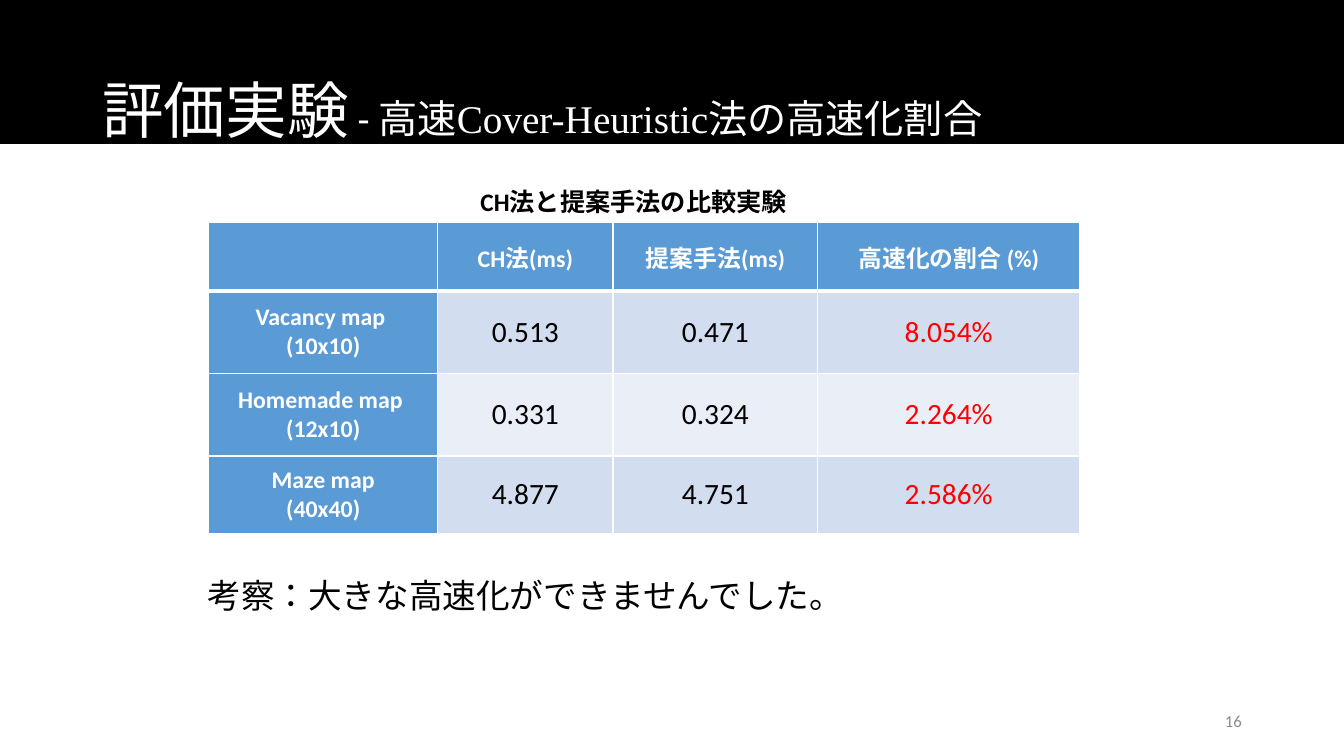
from lxml import etree
from pptx import Presentation, util as u
from pptx.dml.color import RGBColor
from pptx.enum import lang, shapes, text
from pptx.oxml import ns

COLORS = {"black": "000000", "white": "FFFFFF", "blue": "5B9BD5", "band": "D2DEEF",
          "light": "EAEFF7", "red": "FF0000", "grey": "8C8C8C"}
CJK = "Noto Sans CJK JP"

HEADER = ["", "CH法(ms)", "提案手法(ms)", "高速化の割合 (%)"]
RESULTS = [
    ["Vacancy map \n(10x10)", "0.513", "0.471", "8.054%"],
    ["Homemade map \n(12x10)", "0.331", "0.324", "2.264%"],
    ["Maze map\n(40x40)", "4.877", "4.751", "2.586%"],
]
COL_WIDTHS = [5.77, 4.42, 5.16, 6.6]
ROW_HEIGHTS = [1.73, 2.08, 2.08, 1.96]

STYLES = {
    "title": {"size": 44, "name": "Calibri", "color": "white"},
    "dash": {"size": 28, "name": "Calibri", "color": "white"},
    "subtitle": {"size": 28, "name": "Times New Roman", "color": "white"},
    "caption": {"size": 18, "name": "Calibri", "color": "black", "bold": True, "ea": CJK},
    "remark": {"size": 24, "name": "Times New Roman", "color": "black"},
    "number": {"size": 12, "name": "Calibri", "color": "grey"},
    "head": {"size": 17, "name": "Calibri", "color": "white", "bold": True},
    "value": {"size": 21, "name": "Calibri", "color": "black", "bold": False},
    "gain": {"size": 21, "name": "Calibri", "color": "red", "bold": False},
}
LEFT, CENTER, RIGHT = (text.PP_ALIGN.LEFT, text.PP_ALIGN.CENTER, text.PP_ALIGN.RIGHT)
TOP, MIDDLE = text.MSO_ANCHOR.TOP, text.MSO_ANCHOR.MIDDLE

TEXTS = [
    {"box": (2.33, 1.01, 29.21, 3.68), "anchor": MIDDLE, "align": LEFT, "wrap": True,
     "spacing": 0.9, "runs": [("評価実験", "title"), (" - ", "dash"),
                              ("高速Cover-Heuristic法の高速化割合", "subtitle")]},
    {"box": (11.86, 4.57, 8.71, 1.02), "anchor": TOP, "align": LEFT, "wrap": True,
     "runs": [("CH法と提案手法の比較実験", "caption")]},
    {"box": (4.98, 14.35, 16.76, 1.27), "anchor": TOP, "align": LEFT, "wrap": False,
     "runs": [("考察：大きな高速化ができませんでした。", "remark")]},
    {"box": (23.93, 17.65, 7.62, 1.02), "anchor": MIDDLE, "align": RIGHT, "wrap": True,
     "runs": [("16", "number")]},
]


def rgb(name):
    return RGBColor.from_string(COLORS[name])


def add_run(p, words, style):
    r = p.add_run()
    r.text = words
    r.font.language_id = lang.MSO_LANGUAGE_ID.JAPANESE
    for key, value in STYLES[style].items():
        if key == "color":
            r.font.color.rgb = rgb(value)
        elif key == "ea":
            etree.SubElement(r.font._element, ns.qn("a:ea"), typeface=value)
        else:
            setattr(r.font, key, u.Pt(value) if key == "size" else value)


def add_text(s, item):
    tf = s.shapes.add_textbox(*map(u.Cm, item["box"])).text_frame
    tf.word_wrap = item["wrap"]
    tf.vertical_anchor = item["anchor"]
    p = tf.paragraphs[0]
    p.alignment = item["align"]
    p.line_spacing = item.get("spacing")
    for words, style in item["runs"]:
        add_run(p, words, style)


def set_borders(cell, widths):
    tc_pr = cell._tc.get_or_add_tcPr()
    for i, (side, width) in enumerate(zip("LRTB", widths)):
        ln = etree.Element(ns.qn(f"a:ln{side}"), w=str(u.Pt(width)))
        fill = etree.SubElement(ln, ns.qn("a:solidFill"))
        etree.SubElement(fill, ns.qn("a:srgbClr"), val=COLORS["white"])
        tc_pr.insert(i, ln)


def fill_cell(cell, words, row, col):
    is_head = row == 0 or col == 0
    style = "head" if is_head else "gain" if col == len(HEADER) - 1 else "value"
    cell.fill.solid()
    cell.fill.fore_color.rgb = rgb("blue" if is_head else "band" if row % 2 else "light")
    cell.vertical_anchor = MIDDLE
    cell.margin_left = cell.margin_right = u.Cm(0.28)
    cell.margin_top = cell.margin_bottom = 0
    set_borders(cell, (1, 1, 3 if row == 1 else 1, 3 if row == 0 else 1))
    if not words:
        return
    tf = cell.text_frame
    for i, line in enumerate(words.split("\n")):
        p = tf.add_paragraph() if i else tf.paragraphs[0]
        p.alignment = CENTER
        add_run(p, line, style)


prs = Presentation()
prs.slide_width, prs.slide_height = u.Cm(33.87), u.Cm(19.05)
s = prs.slides.add_slide(prs.slide_layouts[6])

banner = s.shapes.add_shape(shapes.MSO_SHAPE.RECTANGLE, 0, 0, prs.slide_width, u.Cm(3.63))
banner.shadow.inherit = False
banner.fill.solid()
banner.fill.fore_color.rgb = rgb("black")
banner.line.fill.background()

rows = [HEADER] + RESULTS
table = s.shapes.add_table(len(rows), len(HEADER), u.Cm(5.26), u.Cm(5.6),
                           u.Cm(sum(COL_WIDTHS)), u.Cm(sum(ROW_HEIGHTS))).table
for column, width in zip(table.columns, COL_WIDTHS):
    column.width = u.Cm(width)
for i, (row, height) in enumerate(zip(rows, ROW_HEIGHTS)):
    table.rows[i].height = u.Cm(height)
    for j, words in enumerate(row):
        fill_cell(table.cell(i, j), words, i, j)

for item in TEXTS:
    add_text(s, item)

prs.save("out.pptx")
